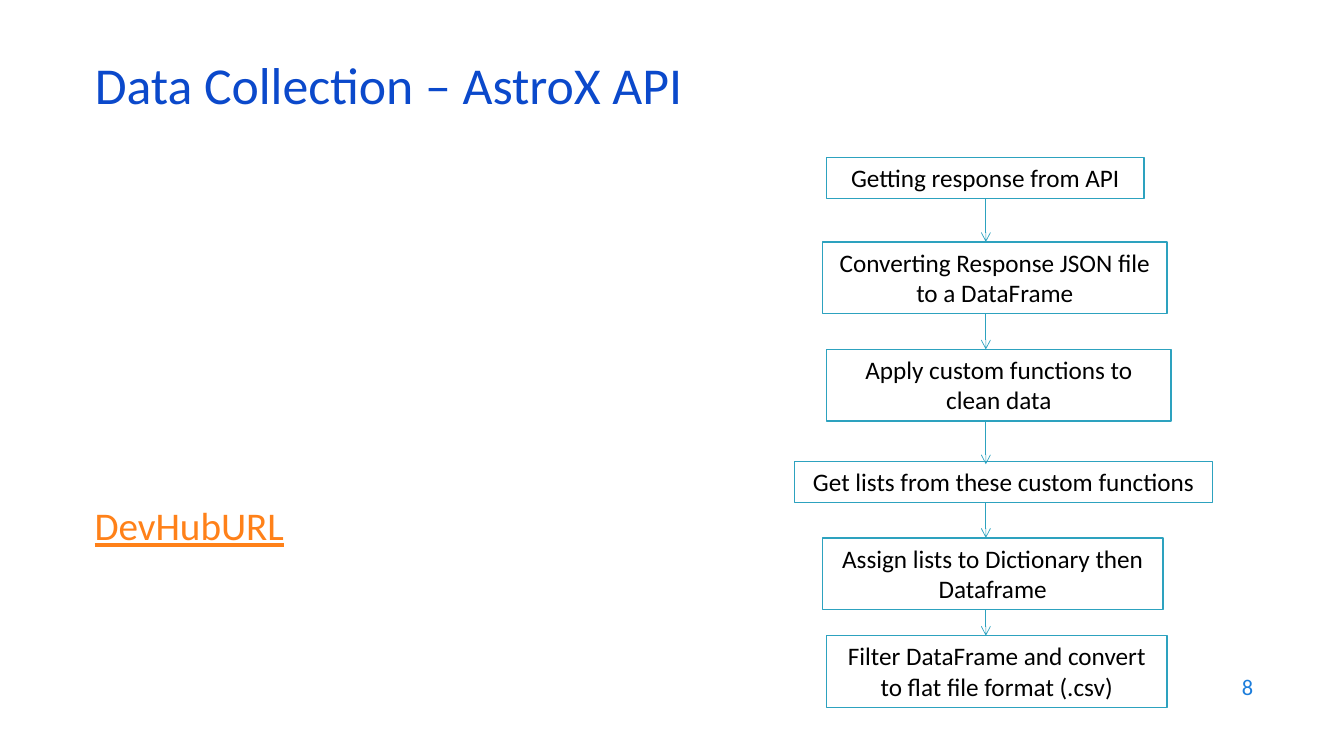
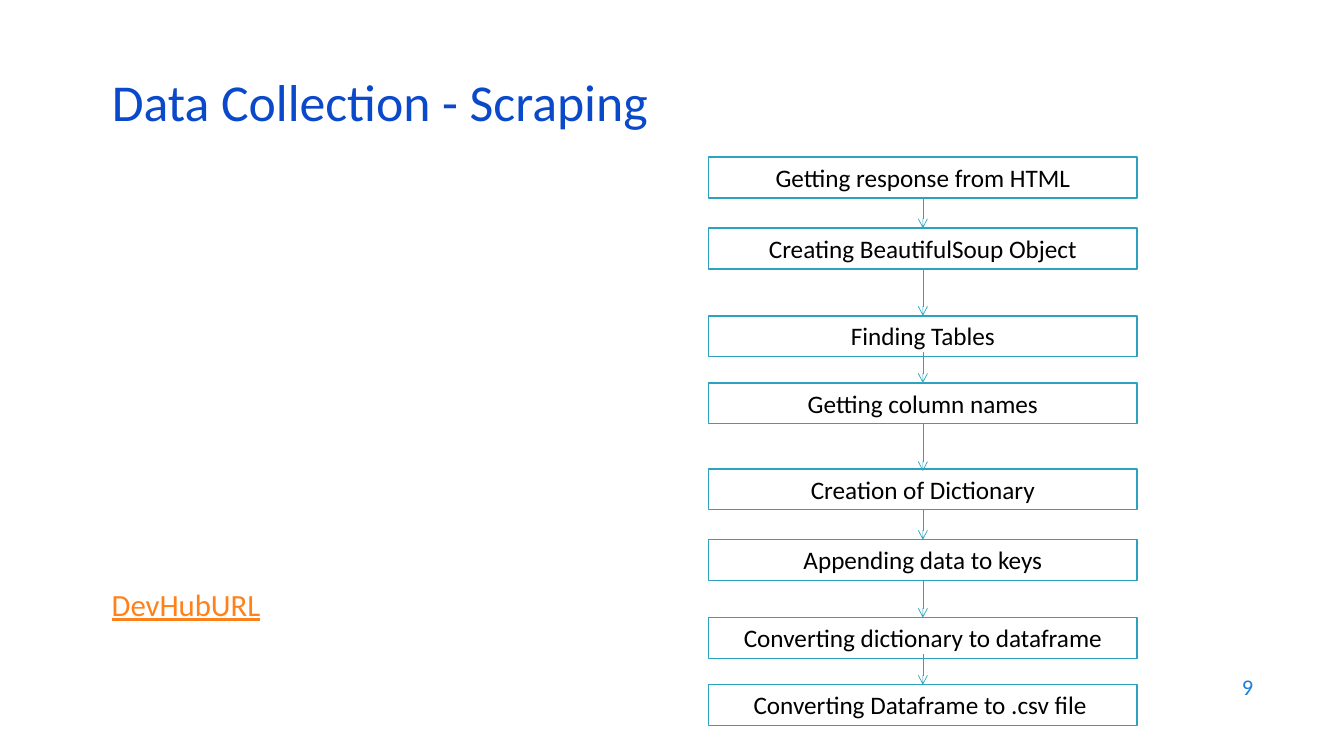
from dataclasses import dataclass
from itertools import pairwise

from lxml.etree import SubElement
from pptx import Presentation
from pptx.dml.color import RGBColor
from pptx.enum.shapes import MSO_CONNECTOR, MSO_SHAPE
from pptx.enum.text import MSO_ANCHOR, MSO_AUTO_SIZE, PP_ALIGN
from pptx.oxml.ns import qn
from pptx.slide import Slide
from pptx.text.text import TextFrame
from pptx.util import Pt

FONT = "Calibri"
BLUE = "0B49CB"
SKY = "1C7DDB"
TEAL = "2DA2BF"
ORANGE = "FF8119"
BLACK = "000000"
WHITE = "FFFFFF"
ONE, TWO = 29.2, 51.1


@dataclass
class Step:
    text: str
    left: float
    top: float
    width: float
    height: float = ONE
    lift: float = 0
    sink: float = 0


@dataclass
class Link:
    top: float
    width: float
    height: float
    size: float
    space: float


@dataclass
class Page:
    number: int
    title: str
    left: float
    top: float
    link: Link
    axis: float
    steps: list[Step]


def wide(text: str, top: float, lift: float = 0, sink: float = 0) -> Step:
    return Step(text, 506.2, top, 306, ONE, lift, sink)


PAGES = [
    Page(8, "Data Collection – AstroX API", 60.5, 42.5, Link(358.6, 427.7, 95.8, 28, 0.9), 704.2, [
        Step("Getting response from API", 590.4, 112.5, 226.8),
        Step("Converting Response JSON file to a DataFrame", 587.5, 172.8, 246.2, TWO),
        Step("Apply custom functions to clean data", 590.4, 249.6, 246.2, TWO, sink=2),
        Step("Get lists from these custom functions", 567.4, 329.6, 298.8),
        Step("Assign lists to Dictionary then Dataframe", 587.5, 384.2, 243.2, TWO),
        Step("Filter DataFrame and convert to flat file format (.csv)", 590.4, 454.1, 243.2, TWO),
    ]),
    Page(9, "Data Collection - Scraping", 72.7, 54.7, Link(414.7, 309.6, 26.6, 22, 1), 659.2, [
        wide("Getting response from HTML", 112.2),
        wide("Creating BeautifulSoup Object", 163),
        wide("Finding Tables", 225.6, lift=3),
        wide("Getting column names", 273.5, sink=1.5),
        wide("Creation of Dictionary", 335),
        wide("Appending data to keys", 385.5),
        wide("Converting dictionary to dataframe", 441.2, lift=3),
        wide("Converting Dataframe to .csv file ", 489.1),
    ]),
]


def paint(code: str) -> RGBColor:
    return RGBColor.from_string(code)


def write(frame: TextFrame, text: str, size: float, color: str,
          align: PP_ALIGN = PP_ALIGN.LEFT, anchor: MSO_ANCHOR = MSO_ANCHOR.TOP,
          space: float = 1, line: bool = False) -> None:
    frame.text = text
    frame.word_wrap = True
    frame.auto_size = MSO_AUTO_SIZE.NONE
    frame.vertical_anchor = anchor
    para = frame.paragraphs[0]
    para.alignment = align
    para.line_spacing = space
    font = para.font
    font.name, font.size, font.underline = FONT, Pt(size), line
    font.color.rgb = paint(color)


def add_title(slide: Slide, page: Page) -> None:
    title = slide.shapes.title
    title.left, title.top = Pt(page.left), Pt(page.top)
    title.width, title.height = Pt(828), Pt(43.2)
    write(title.text_frame, page.title, 37, BLUE, anchor=MSO_ANCHOR.MIDDLE, space=0.8)


def add_link(slide: Slide, left: float, link: Link) -> None:
    box = slide.shapes.add_textbox(Pt(left), Pt(link.top), Pt(link.width), Pt(link.height))
    write(box.text_frame, "DevHubURL", link.size, ORANGE, space=link.space, line=True)


def add_number(slide: Slide, number: int) -> None:
    box = slide.shapes.add_textbox(Pt(686.2), Pt(474.5), Pt(216), Pt(31.7))
    write(box.text_frame, str(number), 16, SKY, PP_ALIGN.RIGHT, MSO_ANCHOR.MIDDLE)


def add_step(slide: Slide, step: Step) -> None:
    box = slide.shapes.add_shape(MSO_SHAPE.RECTANGLE, Pt(step.left), Pt(step.top),
                                 Pt(step.width), Pt(step.height))
    box.shadow.inherit = False
    box.fill.solid()
    box.fill.fore_color.rgb = paint(WHITE)
    box.line.color.rgb = paint(TEAL)
    box.line.width = Pt(1)
    write(box.text_frame, step.text, 18, BLACK, PP_ALIGN.CENTER)
    box.text_frame.auto_size = MSO_AUTO_SIZE.SHAPE_TO_FIT_TEXT


def add_arrow(slide: Slide, axis: float, start: float, end: float) -> None:
    arrow = slide.shapes.add_connector(MSO_CONNECTOR.STRAIGHT, Pt(axis), Pt(start),
                                       Pt(axis), Pt(end))
    arrow.line.color.rgb = paint(TEAL)
    arrow.line.width = Pt(0.5)
    SubElement(arrow.line._get_or_add_ln(), qn("a:tailEnd"), type="arrow")
    SubElement(arrow._element.spPr, qn("a:effectLst"))


def main() -> None:
    deck = Presentation()
    deck.slide_width, deck.slide_height = Pt(960), Pt(540)
    for page in PAGES:
        slide = deck.slides.add_slide(deck.slide_layouts[5])
        add_number(slide, page.number)
        add_link(slide, page.left, page.link)
        add_title(slide, page)
        for step in page.steps:
            add_step(slide, step)
        for step, after in pairwise(page.steps):
            add_arrow(slide, page.axis, step.top + step.height - step.lift,
                      after.top + step.sink)
    deck.save("out.pptx")


if __name__ == "__main__":
    main()
